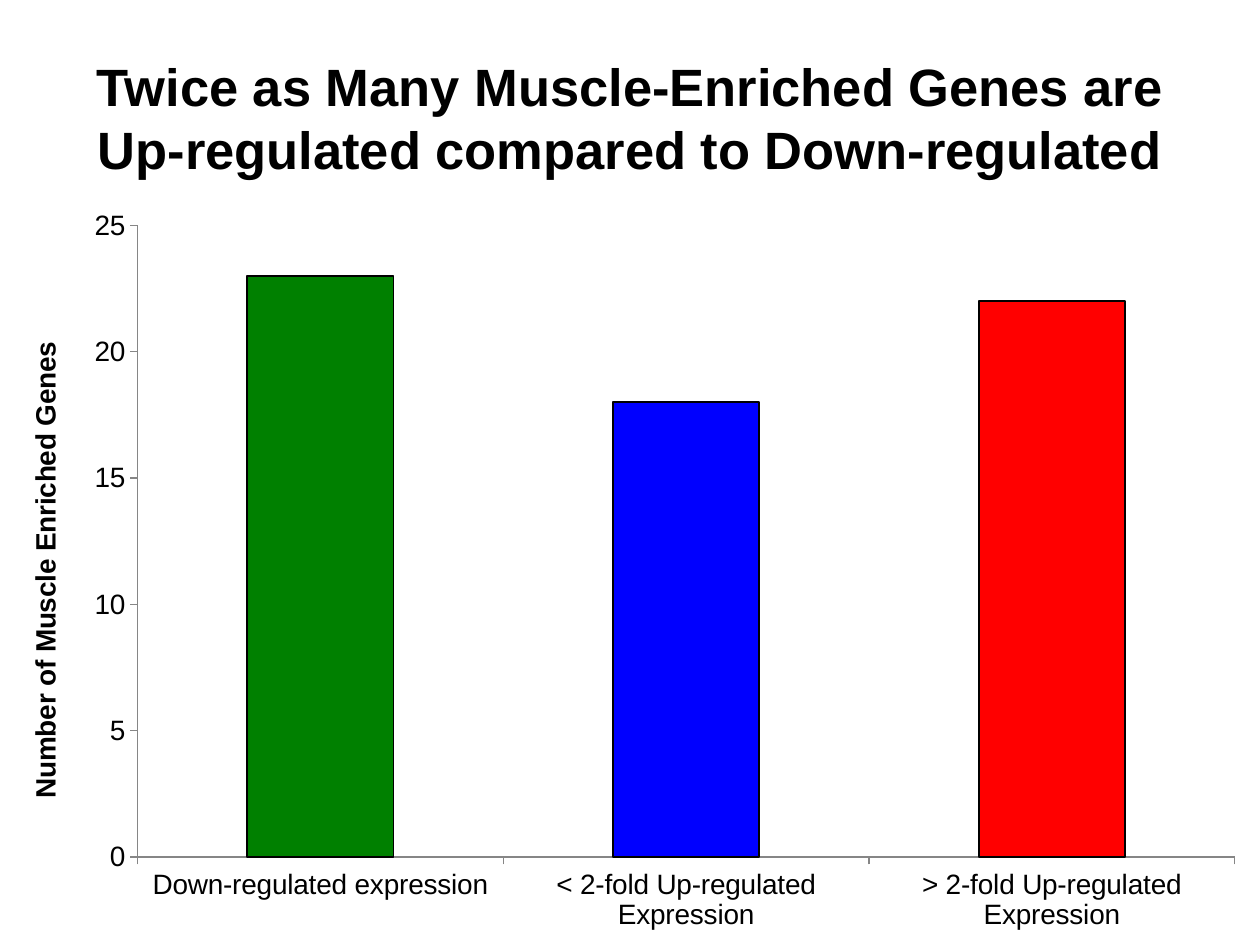
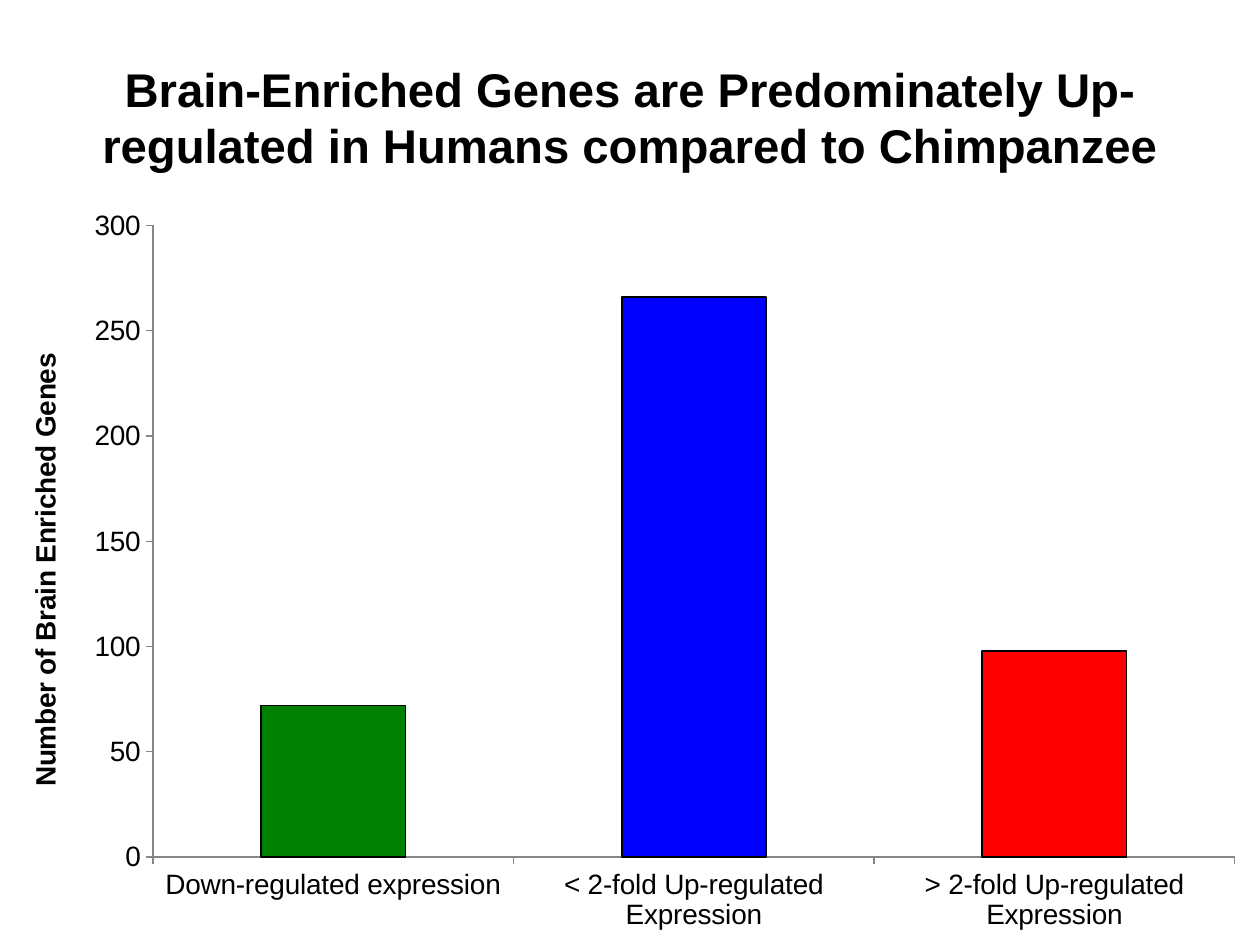
from pptx import Presentation
from pptx.chart.data import CategoryChartData
from pptx.dml.color import RGBColor
from pptx.enum.chart import XL_CHART_TYPE, XL_TICK_MARK
from pptx.enum.text import MSO_ANCHOR, MSO_AUTO_SIZE, PP_ALIGN
from pptx.util import Inches, Pt

COLUMN = XL_CHART_TYPE.COLUMN_CLUSTERED
OUT, NONE = XL_TICK_MARK.OUTSIDE, XL_TICK_MARK.NONE
MIDDLE, CENTER = MSO_ANCHOR.MIDDLE, PP_ALIGN.CENTER
FIXED = MSO_AUTO_SIZE.NONE

GROUPS = ["Down-regulated expression", "< 2-fold Up-regulated Expression",
          "> 2-fold Up-regulated Expression"]
SLIDES = [
    ("Twice as Many Muscle-Enriched Genes are Up-regulated compared to Down-regulated",
     30, "Number of Muscle Enriched Genes", [23, 18, 22], 25, 5),
    ("Brain-Enriched Genes are Predominately Up-regulated in Humans compared to Chimpanzee",
     27, "Number of Brain Enriched Genes", [72, 266, 98], 300, 50),
]


def color(code):
    """Turn a hex string into a colour."""
    return RGBColor.from_string(code)


class Deck:
    """Hold the shared style and the current slide."""

    FONT, INK, AXIS = "Arial", "000000", "868686"
    BARS = ["008000", "0000FF", "FF0000"]
    COLS, ROWS = 20, 150

    def __init__(self):
        """Start an empty deck of 10 by 7.5 inches."""
        self.prs = Presentation()
        self.prs.slide_width, self.prs.slide_height = Inches(10), Inches(7.5)

    def grid(self, col, row, wide, high):
        """Turn grid columns and rows into left, top, width and height."""
        unit_x = self.prs.slide_width / self.COLS
        unit_y = self.prs.slide_height / self.ROWS
        return [round(n) for n in
                (col * unit_x, row * unit_y, wide * unit_x, high * unit_y)]

    def style(self, font, size, bold=False):
        """Give a font the shared face and ink."""
        font.name, font.size, font.bold = self.FONT, Pt(size), bold
        font.color.rgb = color(self.INK)

    def slide(self):
        """Add a slide with only a title on it."""
        self.page = self.prs.slides.add_slide(self.prs.slide_layouts[5])
        fill = self.page.background.fill
        fill.solid()
        fill.fore_color.rgb = color("FFFFFF")

    def title(self, text, size):
        """Place and fill the title."""
        box = self.page.shapes.title
        box.left, box.top, box.width, box.height = self.grid(1, 6, 18, 25)
        frame = box.text_frame
        frame.word_wrap, frame.auto_size = True, FIXED
        frame.vertical_anchor = MIDDLE
        par = frame.paragraphs[0]
        par.alignment = CENTER
        run = par.add_run()
        run.text = text
        self.style(run.font, size, True)

    def axis(self, axis):
        """Draw one axis without a grid."""
        axis.has_major_gridlines = False
        axis.major_tick_mark, axis.minor_tick_mark = OUT, NONE
        axis.format.line.color.rgb = color(self.AXIS)
        axis.format.line.width = Pt(0.75)
        self.style(axis.tick_labels.font, 16)

    def chart(self, label, vals, top, step):
        """Add a column chart with one colour for each group."""
        data = CategoryChartData()
        data.categories = GROUPS
        data.add_series("Series 1", vals)
        spot = self.grid(0, 31, 20, 119)
        chart = self.page.shapes.add_chart(COLUMN, *spot, data).chart
        chart.has_title = chart.has_legend = False
        self.style(chart.font, 16)
        self.axis(chart.category_axis)
        scale = chart.value_axis
        self.axis(scale)
        scale.minimum_scale, scale.maximum_scale = 0, top
        scale.major_unit = step
        run = scale.axis_title.text_frame.paragraphs[0].add_run()
        run.text = label
        self.style(run.font, 16, True)
        plot = chart.plots[0]
        plot.gap_width, plot.vary_by_categories = 150, False
        bars = plot.series[0]
        bars.format.fill.solid()
        bars.format.fill.fore_color.rgb = color("4F81BD")
        for i, code in enumerate(self.BARS):
            look = bars.points[i].format
            look.fill.solid()
            look.fill.fore_color.rgb = color(code)
            look.line.color.rgb = color(self.INK)
            look.line.width = Pt(1)


def main():
    """Build and save both slides."""
    deck = Deck()
    for text, size, label, vals, top, step in SLIDES:
        deck.slide()
        deck.title(text, size)
        deck.chart(label, vals, top, step)
    deck.prs.save("out.pptx")


if __name__ == "__main__":
    main()
